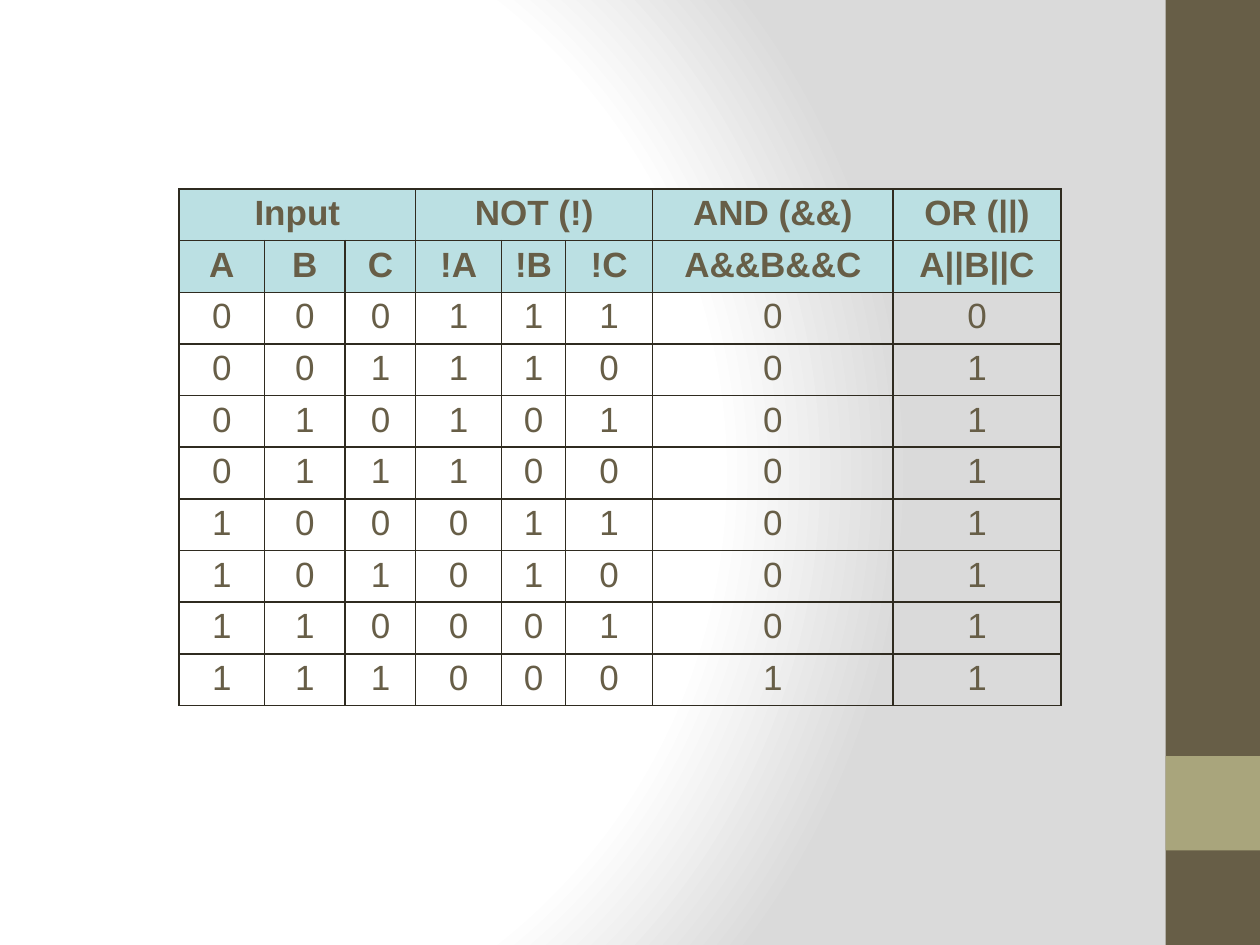
from itertools import product
from pptx import Presentation
from pptx.dml.color import RGBColor
from pptx.enum.shapes import MSO_SHAPE as Preset
from pptx.enum.text import PP_ALIGN as Align
from pptx.oxml import parse_xml
from pptx.oxml.ns import nsdecls
from pptx.util import Inches, Pt

THEME = dict(font="Arial", size=20, ink="675E47", accent="A9A57C",
             header="BBE0E3", border="2F2B20", light="FFFFFF", shade="DADADA")

GROUPS = [("Input", 3), ("NOT (!)", 3), ("AND (&&)", 1), ("OR (||)", 1)]
HEADINGS = ["A", "B", "C", "!A", "!B", "!C", "A&&B&&C", "A||B||C"]
TRUTH = [[*bits, *(1 - bit for bit in bits), min(bits), max(bits)]
         for bits in product((0, 1), repeat=3)]

SLIDE_WIDTH, SLIDE_HEIGHT = 10, 7.5
BAND = 0.75
BAND_LEFT = SLIDE_WIDTH - BAND
COLUMNS = [0.68, 0.64, 0.56, 0.68, 0.51, 0.69, 1.91, 1.33]
ROW_HEIGHT = 0.41
TABLE_LEFT, TABLE_TOP = 1.42, 1.5
HANGING = 0.38


def set_background(slide):
    stops = [(0, "light"), (75, "light"), (100, "shade")]
    stop_xml = "".join(
        f'<a:gs pos="{share * 1000}"><a:srgbClr val="{THEME[name]}"/></a:gs>'
        for share, name in stops)
    slide.element.cSld.insert(0, parse_xml(
        f'<p:bg {nsdecls("p", "a")}><p:bgPr><a:gradFill rotWithShape="1">'
        f'<a:gsLst>{stop_xml}</a:gsLst><a:path path="circle">'
        '<a:fillToRect l="20000" t="50000" r="100000" b="50000"/></a:path>'
        '</a:gradFill><a:effectLst/></p:bgPr></p:bg>'))


def add_block(slide, top, height, color):
    shape = slide.shapes.add_shape(
        Preset.RECTANGLE, Inches(BAND_LEFT), Inches(top), Inches(BAND), Inches(height))
    shape.shadow.inherit = False
    shape.fill.solid()
    shape.fill.fore_color.rgb = RGBColor.from_string(color)
    shape.line.fill.background()


def write(frame, text, bold=False, size=THEME["size"], color=THEME["ink"]):
    paragraph = frame.paragraphs[0]
    paragraph.alignment = Align.CENTER
    properties = paragraph._p.get_or_add_pPr()
    properties.set("marL", str(Inches(HANGING)))
    properties.set("indent", str(-Inches(HANGING)))
    run = paragraph.add_run()
    run.text = text
    run.font.name = THEME["font"]
    run.font.size = Pt(size)
    run.font.bold = bold
    run.font.color.rgb = RGBColor.from_string(color)


def style_cell(cell, fill=None):
    cell.margin_left = cell.margin_right = Inches(0.09)
    cell.margin_top = cell.margin_bottom = Inches(0.04)
    if fill:
        cell.fill.solid()
        cell.fill.fore_color.rgb = RGBColor.from_string(fill)
    else:
        cell.fill.background()
    properties = cell._tc.get_or_add_tcPr()
    for index, side in enumerate("LRTB"):
        properties.insert(index, parse_xml(
            f'<a:ln{side} {nsdecls("a")} w="{Pt(1)}"><a:solidFill>'
            f'<a:srgbClr val="{THEME["border"]}"/></a:solidFill></a:ln{side}>'))


def add_truth_table(slide):
    group_row = [text for name, span in GROUPS for text in [name] + [None] * (span - 1)]
    rows = [group_row, HEADINGS, *TRUTH]
    table = slide.shapes.add_table(
        len(rows), len(COLUMNS), Inches(TABLE_LEFT), Inches(TABLE_TOP),
        Inches(sum(COLUMNS)), Inches(ROW_HEIGHT * len(rows))).table
    table.first_row = table.horz_banding = False
    for column, width in zip(table.columns, COLUMNS):
        column.width = Inches(width)
    for row_index, values in enumerate(rows):
        table.rows[row_index].height = Inches(ROW_HEIGHT)
        heading = row_index < 2
        for column_index, value in enumerate(values):
            cell = table.cell(row_index, column_index)
            style_cell(cell, THEME["header"] if heading else None)
            if value is not None:
                write(cell.text_frame, str(value), bold=heading)
    start = 0
    for name, span in GROUPS:
        if span > 1:
            table.cell(0, start).merge(table.cell(0, start + span - 1))
        start += span


presentation = Presentation()
presentation.slide_width = Inches(SLIDE_WIDTH)
presentation.slide_height = Inches(SLIDE_HEIGHT)
slide = presentation.slides.add_slide(presentation.slide_layouts[6])
set_background(slide)
add_block(slide, 0, SLIDE_HEIGHT, THEME["ink"])
add_block(slide, SLIDE_HEIGHT - 2 * BAND, BAND, THEME["accent"])
add_truth_table(slide)
presentation.save("out.pptx")
